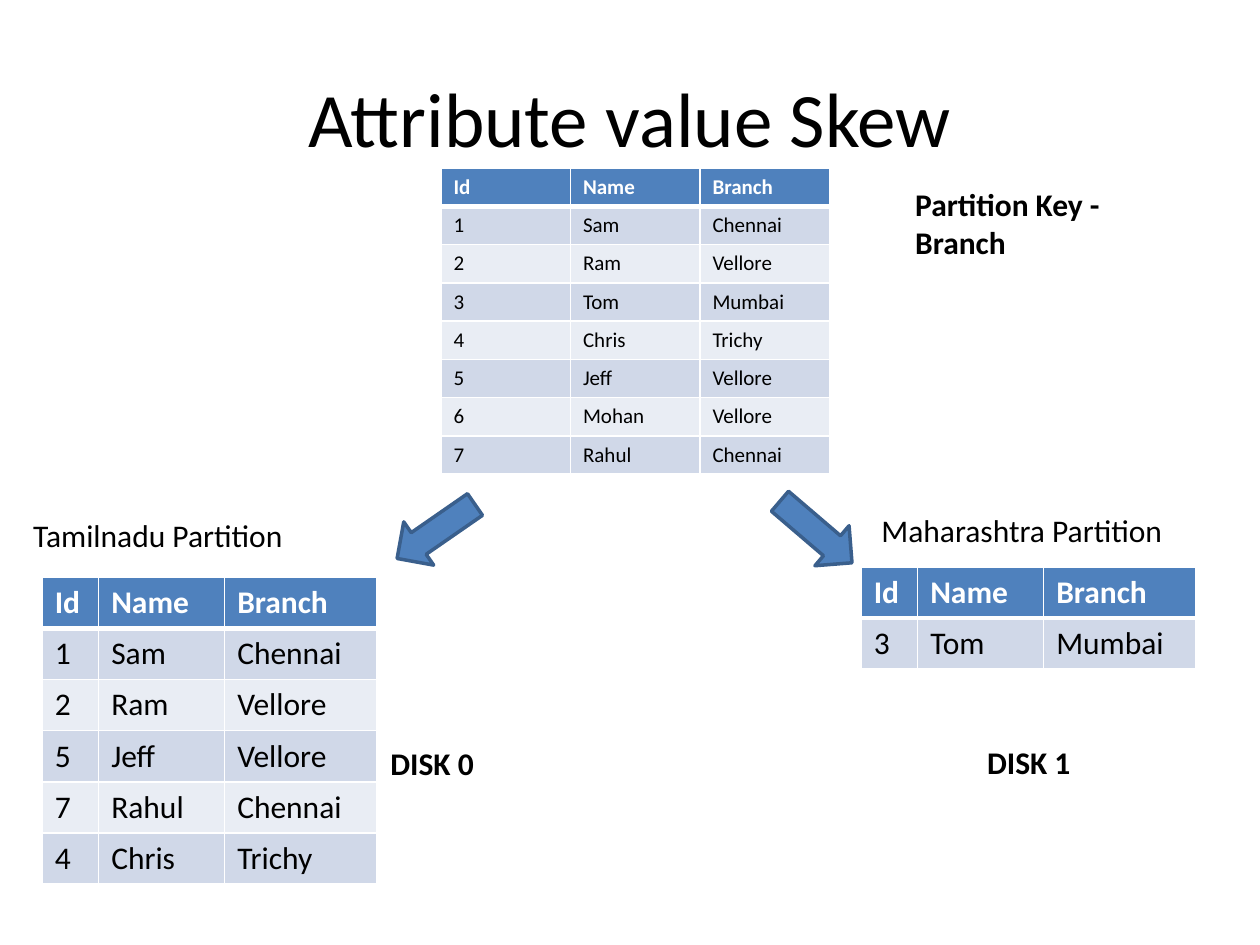
import pptx
import pptx.dml.color
import pptx.enum.shapes
import pptx.enum.text
import pptx.oxml
import pptx.oxml.ns
import pptx.util

Cm, Pt = pptx.util.Cm, pptx.util.Pt
ALIGN = pptx.enum.text.PP_ALIGN
ANCHOR = pptx.enum.text.MSO_ANCHOR

FONT = "Calibri"
BLACK, WHITE, BLUE, DARK_BLUE = "000000", "FFFFFF", "4F81BD", "3A5F8C"
BANDS = ["D0D8E8", "E9EDF4"]

HEADER = ("Id", "Name", "Branch")
CUSTOMERS = {
    1: ("Sam", "Chennai"),
    2: ("Ram", "Vellore"),
    3: ("Tom", "Mumbai"),
    4: ("Chris", "Trichy"),
    5: ("Jeff", "Vellore"),
    6: ("Mohan", "Vellore"),
    7: ("Rahul", "Chennai"),
}
PARTITION_COLS = (1.14, 2.54, 3.07)

# ids, left, top, column widths, row height (cm), font size
TABLES = [
    ((1, 2, 5, 7, 4), 0.85, 11.64, PARTITION_COLS, 1.03, 18),
    ((3,), 17.36, 11.43, PARTITION_COLS, 1.03, 18),
    (tuple(CUSTOMERS), 8.89, 3.39, (2.61, 2.61, 2.61), 0.77, 12),
]

# left, top (cm), rotation
ARROWS = [(8.26, 9.76, 55.3), (15.92, 9.77, 310.5)]

# text, left, top, width, height (cm), size, bold, alignment
LABELS = [
    ("Attribute value Skew", 1.27, 0.76, 22.86, 3.18, 44, False, ALIGN.CENTER),
    ("DISK 0", 7.62, 14.86, 5.08, 1.03, 18, True, ALIGN.LEFT),
    ("DISK 1", 18.2, 14.84, 5.08, 1.03, 18, True, ALIGN.CENTER),
    ("Tamilnadu Partition", 0.42, 10.26, 6.77, 1.03, 18, False, ALIGN.LEFT),
    ("Maharashtra Partition", 17.52, 10.16, 6.77, 1.03, 18, False, ALIGN.LEFT),
    ("Partition Key - Branch", 18.2, 3.6, 5.08, 1.8, 18, True, ALIGN.LEFT),
]


def rgb(value):
    return pptx.dml.color.RGBColor.from_string(value)


def add_run(p, text, size, color=BLACK, bold=False):
    r = p.add_run()
    r.text = text
    r.font.name, r.font.size, r.font.bold = FONT, Pt(size), bold
    r.font.color.rgb = rgb(color)


def set_borders(cell, top, bottom):
    """Draw white cell borders; top and bottom are widths in points."""
    tc_pr = cell._tc.get_or_add_tcPr()
    for side, width in (("L", 1), ("R", 1), ("T", top), ("B", bottom)):
        tc_pr.append(pptx.oxml.parse_xml(
            f'<a:ln{side} {pptx.oxml.ns.nsdecls("a")} w="{Pt(width)}">'
            f'<a:solidFill><a:srgbClr val="{WHITE}"/></a:solidFill></a:ln{side}>'))


def add_customer_table(s, ids, left, top, widths, row_height, size):
    rows = [HEADER] + [(str(i), *CUSTOMERS[i]) for i in ids]
    table = s.shapes.add_table(
        len(rows), len(HEADER), Cm(left), Cm(top),
        Cm(sum(widths)), Cm(row_height * len(rows))).table
    for column, width in zip(table.columns, widths):
        column.width = Cm(width)
    for i, values in enumerate(rows):
        table.rows[i].height = Cm(row_height)
        head = i == 0
        for j, value in enumerate(values):
            cell = table.cell(i, j)
            set_borders(cell, 3 if i == 1 else 1, 3 if head else 1)
            cell.fill.solid()
            cell.fill.fore_color.rgb = rgb(BLUE if head else BANDS[(i - 1) % 2])
            add_run(cell.text_frame.paragraphs[0], value, size,
                    WHITE if head else BLACK, head)


def add_arrow(s, left, top, rotation):
    sp = s.shapes.add_shape(pptx.enum.shapes.MSO_SHAPE.DOWN_ARROW,
                            Cm(left), Cm(top), Cm(1.06), Cm(1.91))
    sp.rotation = rotation
    sp.shadow.inherit = False
    sp.fill.solid()
    sp.fill.fore_color.rgb = rgb(BLUE)
    sp.line.color.rgb = rgb(DARK_BLUE)
    sp.line.width = Pt(2)


def add_label(s, text, left, top, width, height, size, bold, align):
    tf = s.shapes.add_textbox(Cm(left), Cm(top), Cm(width), Cm(height)).text_frame
    tf.word_wrap = True
    tf.vertical_anchor = ANCHOR.MIDDLE
    p = tf.paragraphs[0]
    p.alignment = align
    add_run(p, text, size, bold=bold)


def main():
    prs = pptx.Presentation()
    prs.slide_width, prs.slide_height = Cm(25.4), Cm(19.05)
    s = prs.slides.add_slide(prs.slide_layouts[6])
    for table in TABLES:
        add_customer_table(s, *table)
    for arrow in ARROWS:
        add_arrow(s, *arrow)
    for label in LABELS:
        add_label(s, *label)
    prs.save("out.pptx")


if __name__ == "__main__":
    main()
